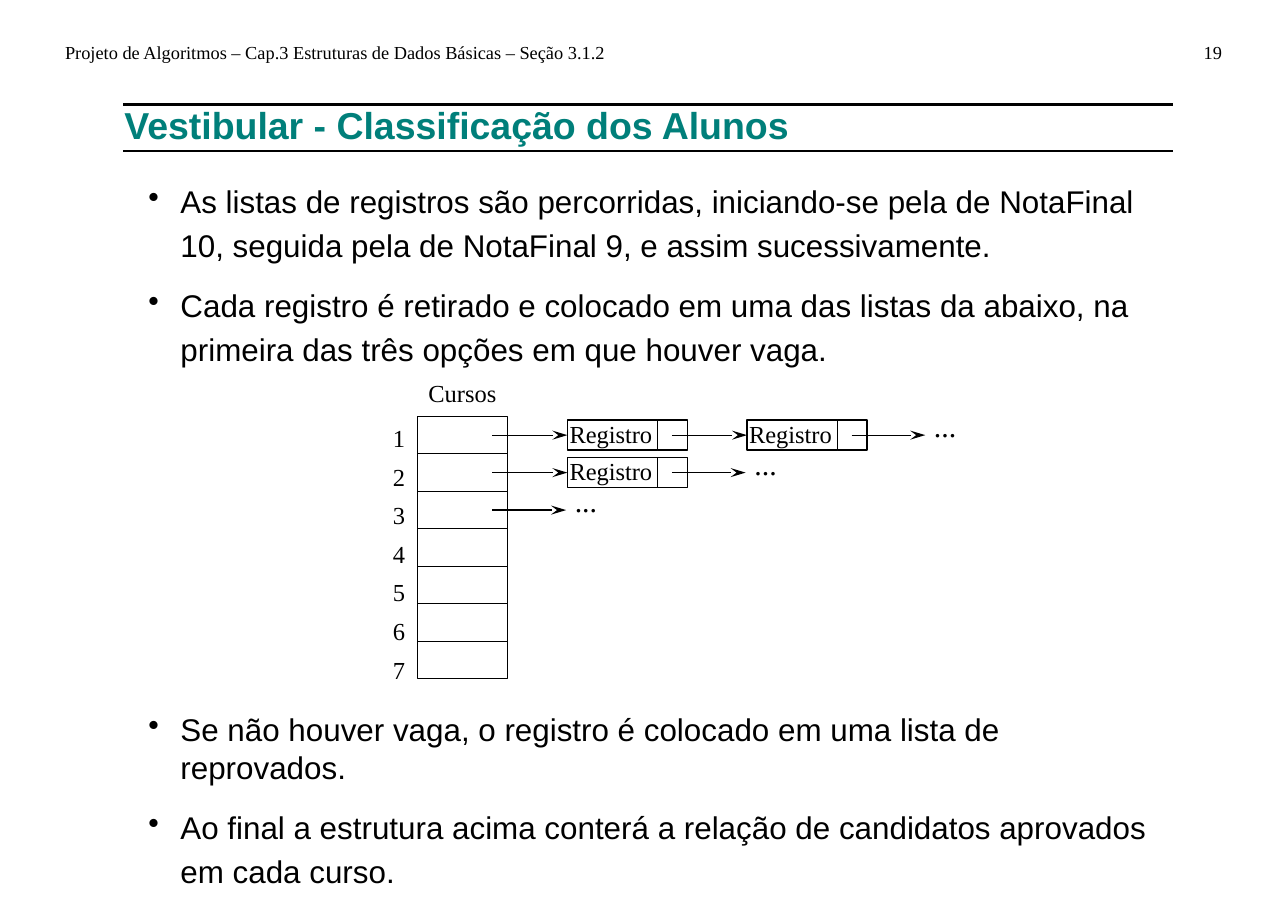
from lxml import etree
from pptx import Presentation
from pptx import util as u
from pptx.dml.color import RGBColor
from pptx.enum import shapes, text
from pptx.oxml.ns import qn

Cm, Pt = u.Cm, u.Pt
BLACK = RGBColor(0x00, 0x00, 0x00)
TEAL = RGBColor(0x00, 0x7F, 0x7A)
SANS, SERIF = "Arial", "Times New Roman"
LEFT, RIGHT = text.PP_ALIGN.LEFT, text.PP_ALIGN.RIGHT
CENTER = text.PP_ALIGN.CENTER

UPPER = [
    "As listas de registros são percorridas, iniciando-se pela de NotaFinal "
    "10, seguida pela de NotaFinal 9, e assim sucessivamente.",
    "Cada registro é retirado e colocado em uma das listas da abaixo, na "
    "primeira das três opções em que houver vaga.",
]
LOWER = [
    "Se não houver vaga, o registro é colocado em uma lista de reprovados.",
    "Ao final a estrutura acima conterá a relação de candidatos aprovados "
    "em cada curso.",
]
ROWS = 7
CHAINS = [2, 1, 0]  # records hanging from the first courses
STEP = 4.14         # distance from one record to the next
REC_W, REC_H = 2.08, 0.69


def style(para, font, size, color=BLACK, bold=False):
    para.font.name = font
    para.font.size = Pt(size)
    para.font.color.rgb = color
    para.font.bold = bold


def label(slide, box, words, font, size, align=LEFT, color=BLACK, bold=False):
    """Place one unwrapped line of text and return its frame."""
    frame = slide.shapes.add_textbox(*map(Cm, box)).text_frame
    frame.margin_left = frame.margin_right = 0
    frame.margin_top = frame.margin_bottom = 0
    frame.word_wrap = False
    para = frame.paragraphs[0]
    para.text = words
    para.alignment = align
    style(para, font, size, color, bold)
    return frame


def line(slide, x, y, length, width):
    link = slide.shapes.add_connector(
        shapes.MSO_CONNECTOR.STRAIGHT, Cm(x), Cm(y), Cm(x + length), Cm(y))
    link.line.color.rgb = BLACK
    link.line.width = Pt(width)
    etree.SubElement(link._element.spPr, qn("a:effectLst"))
    return link


def arrow(slide, x, y, length):
    link = line(slide, x, y, length, 0.82)
    etree.SubElement(link.line._get_or_add_ln(), qn("a:tailEnd"),
                     type="stealth", w="med", len="lg")
    return link


def cell(slide, x, y, w, h):
    rect = slide.shapes.add_shape(
        shapes.MSO_SHAPE.RECTANGLE, Cm(x), Cm(y), Cm(w), Cm(h))
    rect.shadow.inherit = False
    rect.fill.background()
    rect.line.color.rgb = BLACK
    rect.line.width = Pt(0.82)
    return rect


def header(slide, x, y, w):
    label(slide, (x, y, 13, 0.5),
          "Projeto de Algoritmos – Cap.3 Estruturas de Dados Básicas – "
          "Seção 3.1.2", SERIF, 12)
    label(slide, (x + w - 1, y, 1, 0.5), "19", SERIF, 12, RIGHT)


def title(slide, x, y, w, h):
    for edge in (y, y + h):
        line(slide, x, edge, w, 1.73)
    label(slide, (x + 0.03, y - 0.05, w, h),
          "Vestibular - Classificação dos Alunos", SANS, 24.5,
          color=TEAL, bold=True)


def bullets(slide, box, items, leads):
    """List the items, each with its own line height in points."""
    frame = label(slide, box, items[0], SANS, 20.5)
    frame.word_wrap = True
    for item in items[1:]:
        para = frame.add_paragraph()
        para.text = item
        para.space_before = Pt(10.8)
    for para, lead in zip(frame.paragraphs, leads):
        para.line_spacing = Pt(lead)
        props = para._p.get_or_add_pPr()
        props.set("marL", str(Cm(0.76)))
        props.set("indent", str(-Cm(0.74)))
        etree.SubElement(props, qn("a:buChar"), char="•")
        style(para, SANS, 20.5)


def record(slide, x, mid):
    top = mid - REC_H / 2
    cell(slide, x + REC_W, top, REC_H, REC_H)
    rect = cell(slide, x, top, REC_W, REC_H)
    frame = rect.text_frame
    frame.margin_left, frame.margin_bottom = Cm(0.05), Cm(0.08)
    frame.margin_right = frame.margin_top = 0
    frame.word_wrap = False
    frame.vertical_anchor = text.MSO_ANCHOR.MIDDLE
    para = frame.paragraphs[0]
    para.text = "Registro"
    para.alignment = LEFT
    style(para, SERIF, 16)
    return rect


def chain(slide, x, mid, count):
    """Link the records of one course, ending in dots."""
    for i in range(count + 1):
        start = x + i * STEP
        link = arrow(slide, start, mid, 1.7)
        if i < count:
            link.end_connect(record(slide, start + 1.73, mid), 1)
    label(slide, (start + 1.9, mid - 0.63, 0.6, 0.86), "...", SERIF, 19.5)


def courses(slide, x, y, w, h):
    row = h / ROWS
    label(slide, (x, y - 0.89, w, 0.65), "Cursos", SERIF, 16, CENTER)
    frame = label(slide, (x - 0.56, y + 0.16, 0.36, h), "1", SERIF, 16)
    for num in range(2, ROWS + 1):
        para = frame.add_paragraph()
        para.text = str(num)
        para.space_before = Pt(6)
        style(para, SERIF, 16)
    for i in range(ROWS):
        cell(slide, x, y + i * row, w, row)
    for i, count in enumerate(CHAINS):
        chain(slide, x + 1.73, y + (i + 0.5) * row, count)


def main():
    deck = Presentation()
    deck.slide_width, deck.slide_height = Cm(29.69), Cm(20.98)
    slide = deck.slides.add_slide(deck.slide_layouts[6])
    header(slide, 1.5, 0.94, 26.67)
    title(slide, 2.84, 2.41, 24.21, 1.07)
    bullets(slide, (3.4, 4.05, 23.35, 4.4), UPPER, (28.7, 28.7))
    courses(slide, 9.62, 9.6, 2.08, 6.05)
    bullets(slide, (3.4, 16.36, 23.35, 4.2), LOWER, (24.8, 28.7))
    deck.save("out.pptx")


if __name__ == "__main__":
    main()
